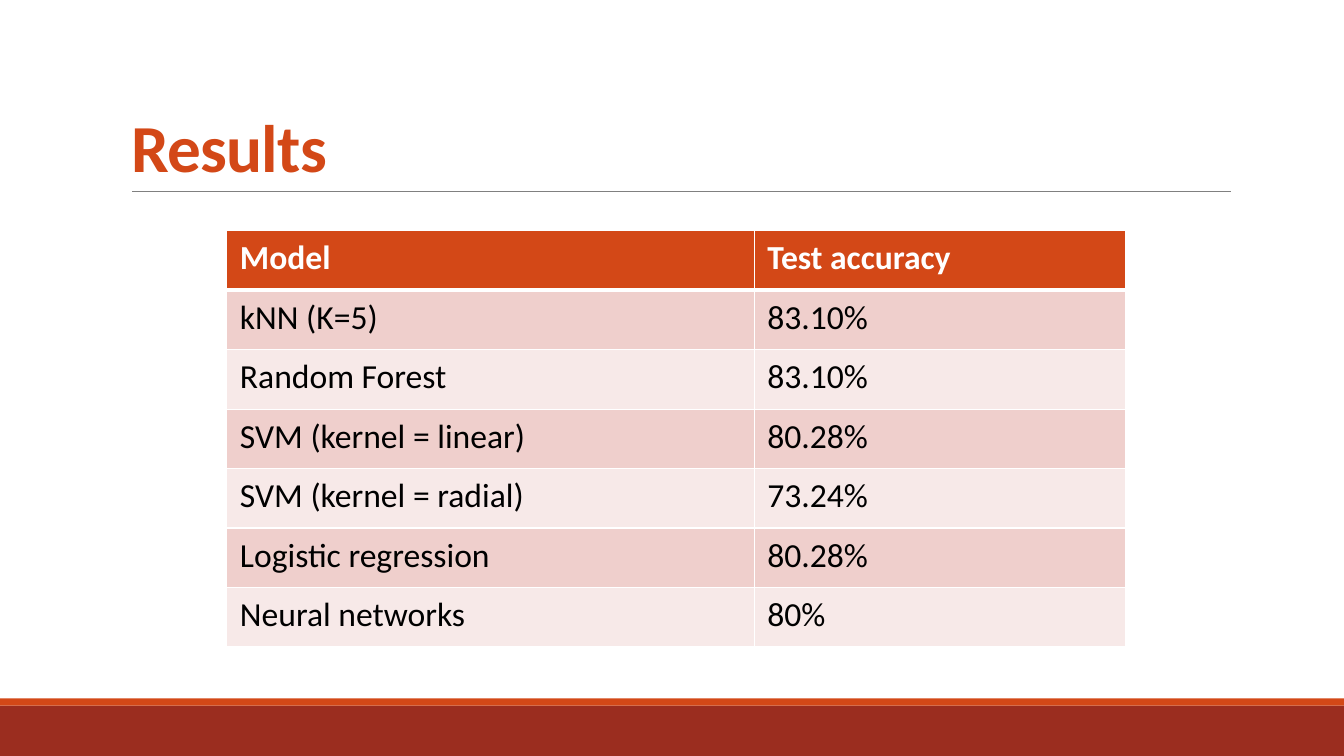
import dataclasses

import lxml.etree
import pptx
import pptx.dml.color
import pptx.enum.shapes
import pptx.enum.text
import pptx.oxml.ns
import pptx.util
from pptx.util import Inches


@dataclasses.dataclass(frozen=True)
class Theme:
    font: str = "Calibri"
    title_size: int = 48
    table_size: int = 24
    accent: str = "D34817"
    footer: str = "9B2D1F"
    rule: str = "808080"
    white: str = "FFFFFF"
    black: str = "000000"
    bands: tuple = ("EFCFCC", "F7E9E8")


theme = Theme()
qn = pptx.oxml.ns.qn
rgb = pptx.dml.color.RGBColor.from_string


def style_text(paragraph, size, color, bold):
    for run in paragraph.runs:
        run.font.name = theme.font
        run.font.size = pptx.util.Pt(size)
        run.font.bold = bold
        run.font.color.rgb = rgb(color)


def add_border(cell, side, width):
    line = lxml.etree.SubElement(cell._tc.get_or_add_tcPr(), qn(f"a:ln{side}"),
                                 w=str(pptx.util.Pt(width)))
    fill = lxml.etree.SubElement(line, qn("a:solidFill"))
    lxml.etree.SubElement(fill, qn("a:srgbClr"), val=theme.white)


presentation = pptx.Presentation()
presentation.slide_width = Inches(13.33)
presentation.slide_height = Inches(7.5)
slide = presentation.slides.add_slide(presentation.slide_layouts[5])

# Footer bands
for top, height, color in ((7, 0.5, theme.footer), (6.93, 0.07, theme.accent)):
    band = slide.shapes.add_shape(pptx.enum.shapes.MSO_SHAPE.RECTANGLE,
                                  0, Inches(top), Inches(13.33), Inches(height))
    band.shadow.inherit = False
    band.fill.solid()
    band.fill.fore_color.rgb = rgb(color)
    band.line.fill.background()

# Rule under the title
title_rule = slide.shapes.add_connector(pptx.enum.shapes.MSO_CONNECTOR.STRAIGHT,
                                        Inches(1.31), Inches(1.9), Inches(12.21), Inches(1.9))
title_rule.line.color.rgb = rgb(theme.rule)
title_rule.line.width = pptx.util.Pt(0.5)
lxml.etree.SubElement(title_rule._element.spPr, qn("a:effectLst"))

# Title
title = slide.shapes.title
title.left, title.top, title.width, title.height = map(Inches, (1.2, 0.31, 11, 1.59))
title.text_frame.text = "Results"
title.text_frame.auto_size = pptx.enum.text.MSO_AUTO_SIZE.NONE
title.text_frame.vertical_anchor = pptx.enum.text.MSO_ANCHOR.BOTTOM
heading = title.text_frame.paragraphs[0]
heading.alignment = pptx.enum.text.PP_ALIGN.LEFT
heading.line_spacing = 0.85
style_text(heading, theme.title_size, theme.accent, True)
heading.runs[0].font._element.set("spc", "-50")

# Accuracy table
results = (
    ("Model", "Test accuracy"),
    ("kNN (K=5)", "83.10%"),
    ("Random Forest", "83.10%"),
    ("SVM (kernel = linear)", "80.28%"),
    ("SVM (kernel = radial)", "73.24%"),
    ("Logistic regression", "80.28%"),
    ("Neural networks", "80%"),
)
column_widths = (5.23, 3.68)
row_height = 0.59
accuracy = slide.shapes.add_table(
    len(results), len(column_widths), Inches(2.25), Inches(2.29),
    Inches(sum(column_widths)), Inches(row_height * len(results))).table
for column, width in zip(accuracy.columns, column_widths):
    column.width = Inches(width)

for row_index, values in enumerate(results):
    is_header = row_index == 0
    accuracy.rows[row_index].height = Inches(row_height)
    for column_index, value in enumerate(values):
        cell = accuracy.cell(row_index, column_index)
        cell.text_frame.text = value
        cell.margin_left = cell.margin_right = Inches(0.13)
        cell.margin_top = cell.margin_bottom = Inches(0.07)
        style_text(cell.text_frame.paragraphs[0], theme.table_size,
                   theme.white if is_header else theme.black, is_header)
        # The heavier line separates the header from the models
        add_border(cell, "L", 1)
        add_border(cell, "R", 1)
        add_border(cell, "T", 3 if row_index == 1 else 1)
        add_border(cell, "B", 3 if is_header else 1)
        cell.fill.solid()
        cell.fill.fore_color.rgb = rgb(
            theme.accent if is_header else theme.bands[(row_index - 1) % 2])

presentation.save("out.pptx")
